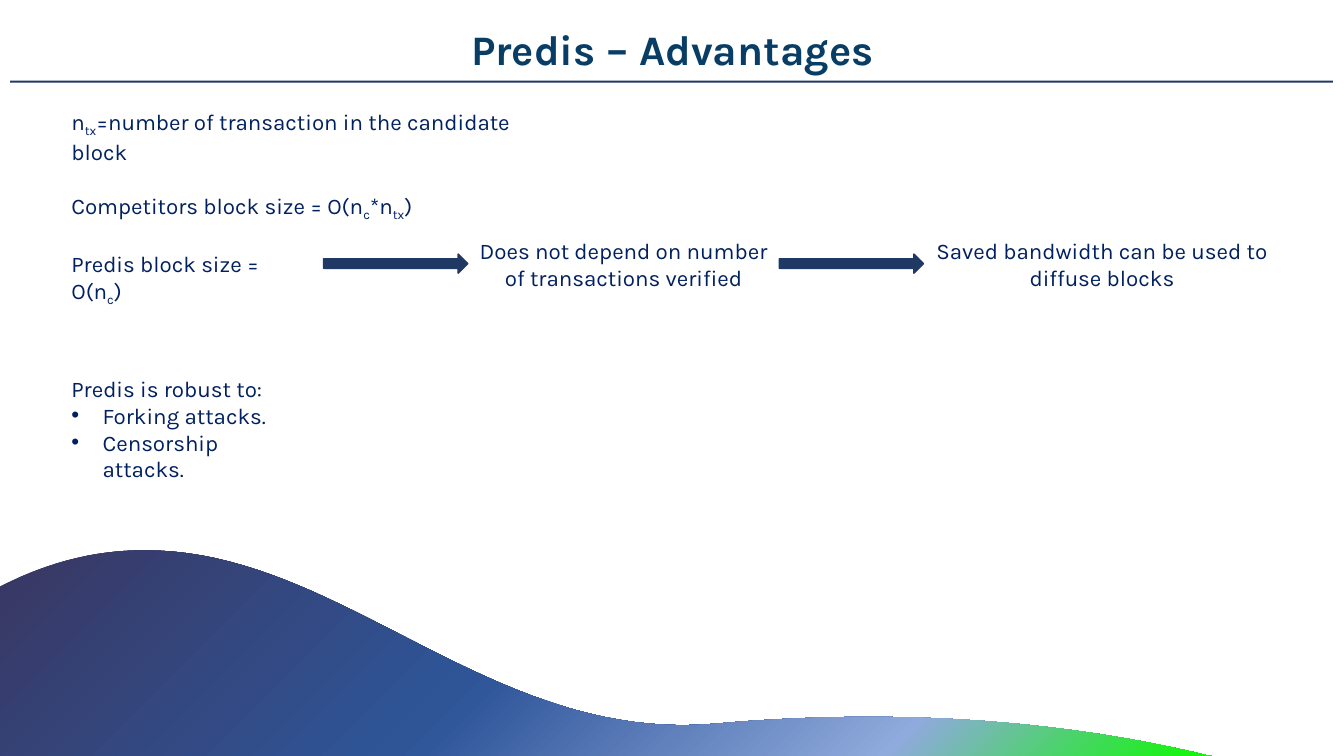
from dataclasses import dataclass

from lxml import etree
from pptx import Presentation
from pptx import util as u
from pptx.dml.color import RGBColor
from pptx.enum import shapes, text
from pptx.oxml import parse_xml
from pptx.oxml.ns import nsdecls, qn


@dataclass(frozen=True)
class Theme:
    font: str = "Karla"
    title_size: int = 30
    body_size: int = 16
    title: str = "083D65"
    body: str = "002060"
    accent: str = "203864"
    wave: tuple = ((0, "393762"), (42, "2F5597"), (44, "31579B"),
                   (77, "8FAADC"), (100, "0CFA00"))


THEME = Theme()
WAVE_START = (1.43, 5.46)
WAVE_CREST = (
    ((3.38, 5.45), (4.87, 7.38), (7.09, 7.18)),
    ((9.13, 7), (10.77, 7.2), (12, 7.5)),
)
WAVE_CORNERS = ((12.02, 7.5), (0, 7.5), (0, 5.82))
WAVE_RETURN = ((0.51, 5.56), (0.98, 5.46), WAVE_START)
CURVE_STEPS = 40


def inches(values):
    return [u.Inches(value) for value in values]


def add_bullet(paragraph):
    props = paragraph._p.get_or_add_pPr()
    props.set("marL", str(u.Inches(0.31)))
    props.set("indent", str(u.Inches(-0.31)))
    color = etree.SubElement(props, qn("a:buClr"))
    etree.SubElement(color, qn("a:srgbClr"), val=THEME.body)
    etree.SubElement(props, qn("a:buFont"), typeface="Arial")
    etree.SubElement(props, qn("a:buChar"), char="•")


def add_spans(paragraph, content):
    for index, part in enumerate(content.split("~")):
        span = paragraph.add_run()
        span.text = part
        if index % 2:
            span._r.get_or_add_rPr().set("baseline", "-25000")


def style_paragraph(paragraph, size, color, bold=False):
    paragraph.font.name = THEME.font
    paragraph.font.size = u.Pt(size)
    paragraph.font.bold = bold
    paragraph.font.color.rgb = RGBColor.from_string(color)


def add_text(page, place, lines, centered=False, bulleted=False, gap=0):
    box = page.shapes.add_textbox(*inches(place))
    frame = box.text_frame
    frame.word_wrap = True
    for index, line in enumerate(lines):
        para = frame.paragraphs[0] if index == 0 else frame.add_paragraph()
        if index and bulleted:
            add_bullet(para)
        if index and gap:
            para.space_before = u.Pt(gap)
        if centered:
            para.alignment = text.PP_ALIGN.CENTER
        style_paragraph(para, THEME.body_size, THEME.body)
        add_spans(para, line)
    return frame


def add_title(page, place, title):
    frame = add_text(page, place, [title], centered=True)
    frame.margin_left = frame.margin_right = 0
    frame.margin_top = frame.margin_bottom = 0
    style_paragraph(frame.paragraphs[0], THEME.title_size, THEME.title, True)


def add_solid(page, kind, place, outlined=False):
    shape = page.shapes.add_shape(kind, *inches(place))
    shape.shadow.inherit = False
    shape.fill.solid()
    shape.fill.fore_color.rgb = RGBColor.from_string(THEME.accent)
    if outlined:
        shape.line.color.rgb = RGBColor.from_string(THEME.accent)
        shape.line.width = u.Pt(1)
    else:
        shape.line.fill.background()


def curve_points(start, first, second, end):
    points = []
    for step in range(1, CURVE_STEPS + 1):
        t = step / CURVE_STEPS
        weights = ((1 - t) ** 3, 3 * t * (1 - t) ** 2, 3 * t * t * (1 - t), t ** 3)
        points.append(tuple(
            sum(weight * value for weight, value in zip(weights, axis))
            for axis in zip(start, first, second, end)))
    return points


def add_wave(page):
    points = [WAVE_START]
    for curve in WAVE_CREST:
        points += curve_points(points[-1], *curve)
    points += WAVE_CORNERS
    points += curve_points(points[-1], *WAVE_RETURN)
    builder = page.shapes.build_freeform(*inches(points[0]), scale=1.0)
    builder.add_line_segments([inches(point) for point in points[1:]], close=True)
    wave = builder.convert_to_shape()
    wave.shadow.inherit = False
    wave.line.fill.background()
    stops = "".join(
        f'<a:gs pos="{position * 1000}"><a:srgbClr val="{color}"/></a:gs>'
        for position, color in THEME.wave)
    gradient = parse_xml(
        f'<a:gradFill {nsdecls("a")} rotWithShape="1"><a:gsLst>{stops}</a:gsLst>'
        '<a:lin ang="2700000" scaled="0"/></a:gradFill>')
    wave._element.spPr.find(qn("a:custGeom")).addnext(gradient)


def main():
    deck = Presentation()
    deck.slide_width, deck.slide_height = inches((13.33, 7.5))
    page = deck.slides.add_slide(deck.slide_layouts[6])

    add_title(page, (2.99, 0.23, 7.36, 0.5), "Predis – Advantages")
    add_solid(page, shapes.MSO_SHAPE.RECTANGLE, (0.1, 0.8, 13.12, 0.02))
    add_wave(page)

    add_text(page, (0.61, 2.43, 2.6, 0.37), ["Predis block size = O(n~c~)"])
    add_text(page, (4.64, 2.3, 3.09, 0.64),
             ["Does not depend on number of transactions verified"], centered=True)
    add_text(page, (9.16, 2.3, 3.54, 0.64),
             ["Saved bandwidth can be used to diffuse blocks"], centered=True)
    for left in (3.21, 7.73):
        add_solid(page, shapes.MSO_SHAPE.RIGHT_ARROW, (left, 2.52, 1.43, 0.19),
                  outlined=True)

    add_text(page, (0.61, 1.02, 5.03, 0.91),
             ["n~tx~=number of transaction in the candidate block",
              "Competitors block size = O(n~c~*n~tx~)"], gap=19)
    add_text(page, (0.61, 3.67, 2.41, 0.91),
             ["Predis is robust to:", "Forking attacks.", "Censorship attacks."],
             bulleted=True)

    deck.save("out.pptx")


if __name__ == "__main__":
    main()
